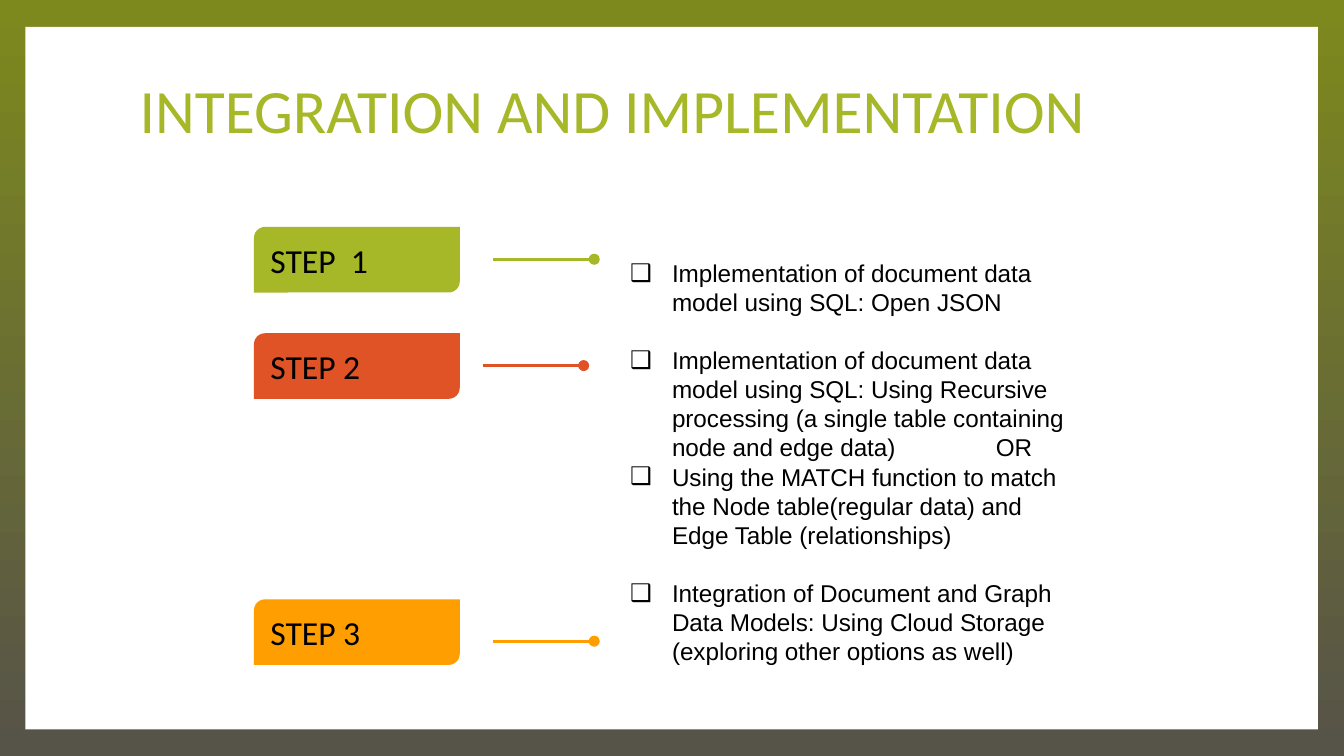
from dataclasses import dataclass

from lxml import etree
from pptx import Presentation
from pptx.dml.color import RGBColor
from pptx.enum.shapes import MSO_CONNECTOR, MSO_SHAPE
from pptx.enum.text import MSO_ANCHOR, MSO_AUTO_SIZE, PP_ALIGN
from pptx.oxml.ns import qn
from pptx.util import Cm, Pt

RECT = MSO_SHAPE.RECTANGLE
STEP_SHAPE = MSO_SHAPE.ROUND_2_DIAG_RECTANGLE
STRAIGHT = MSO_CONNECTOR.STRAIGHT
TOP, MIDDLE = MSO_ANCHOR.TOP, MSO_ANCHOR.MIDDLE
LEFT = PP_ALIGN.LEFT
NO_FIT = MSO_AUTO_SIZE.NONE


@dataclass(frozen=True)
class Theme:
    green: str = "A6B727"
    red: str = "DF5327"
    orange: str = "FE9E00"
    white: str = "FFFFFF"
    black: str = "000000"
    bg_top: str = "7D891D"
    bg_bottom: str = "565349"
    heading_font: str = "Calibri"
    body_font: str = "Arial"
    title_size: float = 33
    step_size: float = 18
    body_size: float = 13
    line_height: float = 15.6


THEME = Theme()
INSET = Cm(0.25)
INDENT = Cm(0.79)
OR_TAB = Cm(6.91)

# Label, colour, box top, connector left, connector height on the slide (cm)
STEPS = [
    ("STEP  1", THEME.green, 4.29, 9.32, 4.9),
    ("STEP 2", THEME.red, 6.3, 9.12, 6.91),
    ("STEP 3", THEME.orange, 11.33, 9.32, 12.12),
]

# Text, whether a blank line's height goes before it
ITEMS = [
    ("Implementation of document data model using SQL: Open JSON", False),
    ("Implementation of document data model using SQL: Using Recursive "
     "processing (a single table containing node and edge data)\tOR", True),
    ("Using the MATCH function to match the Node table(regular data) and "
     "Edge Table (relationships)", False),
    ("Integration of Document and Graph Data Models: Using Cloud Storage "
     "(exploring other options as well)", True),
]


def rgb(value):
    return RGBColor.from_string(value)


def style_font(p, name, size, color):
    p.font.name = name
    p.font.size = Pt(size)
    p.font.color.rgb = rgb(color)


def set_frame(tf, anchor, side=INSET, top=INSET):
    tf.word_wrap = True
    tf.auto_size = NO_FIT
    tf.vertical_anchor = anchor
    tf.margin_left = tf.margin_right = side
    tf.margin_top, tf.margin_bottom = top, INSET


def place(sp, left, top, width, height):
    sp.left, sp.top, sp.width, sp.height = map(Cm, (left, top, width, height))


def add_filled(s, kind, left, top, width, height, color):
    sp = s.shapes.add_shape(kind, *map(Cm, (left, top, width, height)))
    sp.shadow.inherit = False
    sp.fill.solid()
    sp.fill.fore_color.rgb = rgb(color)
    sp.line.fill.background()
    return sp


def set_background(s):
    fill = s.background.fill
    fill.gradient()
    fill.gradient_angle = 270
    for stop, color in zip(fill.gradient_stops, (THEME.bg_top, THEME.bg_bottom)):
        stop.color.rgb = rgb(color)
    panel = add_filled(s, RECT, 0.48, 0.51, 24.43, 13.28, THEME.white)
    s.shapes.title.element.addprevious(panel.element)


def fill_title(sp, text):
    place(sp, 2.39, 1.27, 20.57, 2.82)
    set_frame(sp.text_frame, TOP)
    p = sp.text_frame.paragraphs[0]
    p.text = text
    p.alignment = LEFT
    p.line_spacing = 0.9
    style_font(p, THEME.heading_font, THEME.title_size, THEME.green)


def add_step(s, text, color, top):
    sp = add_filled(s, STEP_SHAPE, 4.8, top, 3.89, 1.24, color)
    sp.adjustments[0], sp.adjustments[1] = 0.167, 0
    set_frame(sp.text_frame, MIDDLE)
    p = sp.text_frame.paragraphs[0]
    p.text = text
    p.alignment = LEFT
    style_font(p, THEME.heading_font, THEME.step_size, THEME.black)


def add_pointer(s, left, y, color):
    line = s.shapes.add_connector(STRAIGHT, Cm(left), Cm(y), Cm(left + 1.91), Cm(y))
    line.line.color.rgb = rgb(color)
    line.line.width = Pt(1.5)
    sp_pr = line.element.spPr
    etree.SubElement(sp_pr.find(qn("a:ln")), qn("a:tailEnd"), type="oval")
    etree.SubElement(sp_pr, qn("a:effectLst"))


def set_bullet(p):
    p_pr = p._p.get_or_add_pPr()
    p_pr.set("marL", str(INDENT))
    p_pr.set("indent", str(-INDENT))
    etree.SubElement(p_pr, qn("a:buChar"), char="❑")
    tabs = etree.SubElement(p_pr, qn("a:tabLst"))
    etree.SubElement(tabs, qn("a:tab"), pos=str(OR_TAB), algn="l")


def fill_list(sp, items):
    place(sp, 11.15, 3.1, 10.03, 10.36)
    tf = sp.text_frame
    set_frame(tf, TOP, side=Cm(0.76), top=Cm(1.78))
    for i, (text, gap) in enumerate(items):
        p = tf.add_paragraph() if i else tf.paragraphs[0]
        p.add_run().text = text
        p.alignment = LEFT
        p.line_spacing = Pt(THEME.line_height)
        p.space_before = Pt(THEME.line_height if gap else 0)
        set_bullet(p)
        style_font(p, THEME.body_font, THEME.body_size, THEME.black)


def main():
    prs = Presentation()
    prs.slide_width, prs.slide_height = Cm(25.4), Cm(14.29)
    s = prs.slides.add_slide(prs.slide_layouts[1])

    # Frame and text
    set_background(s)
    fill_title(s.shapes.title, "INTEGRATION AND IMPLEMENTATION")
    fill_list(s.placeholders[1], ITEMS)

    # Steps with their pointers
    for text, color, top, line_left, line_y in STEPS:
        add_step(s, text, color, top)
        add_pointer(s, line_left, line_y, color)

    prs.save("out.pptx")


if __name__ == "__main__":
    main()
